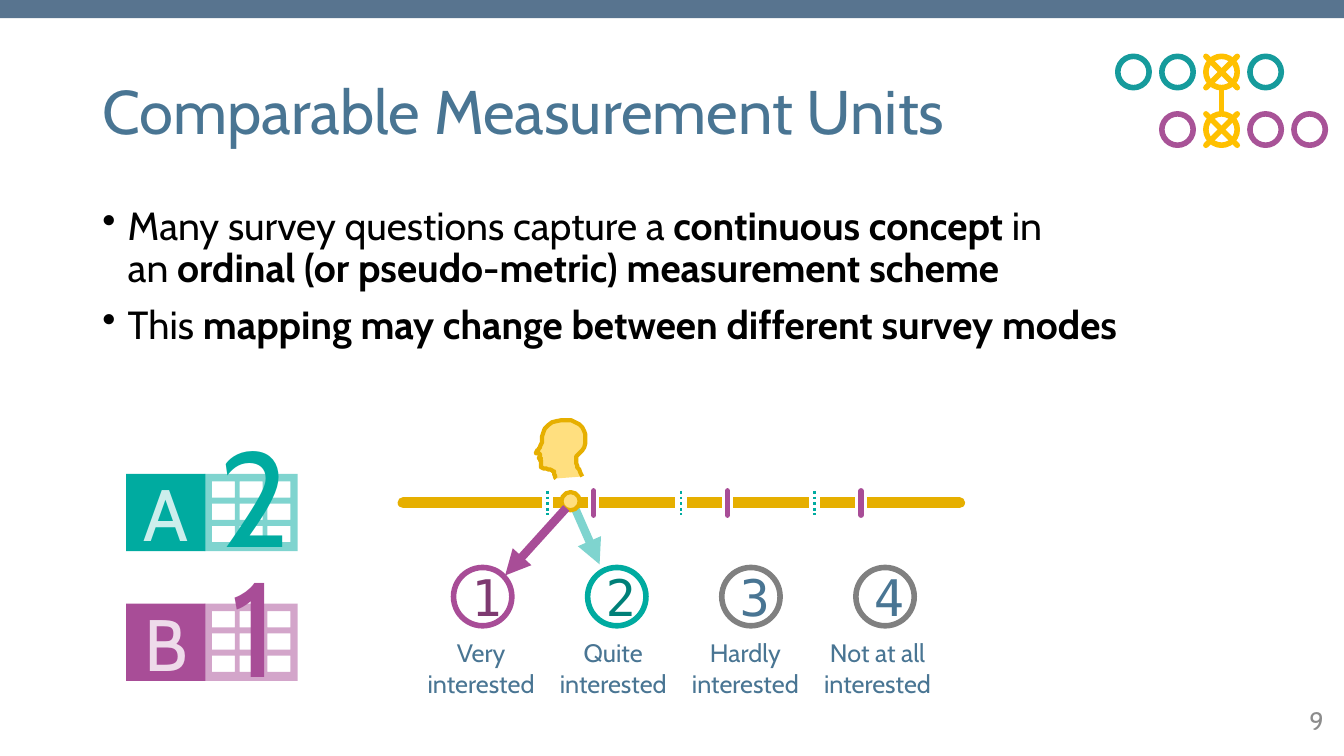
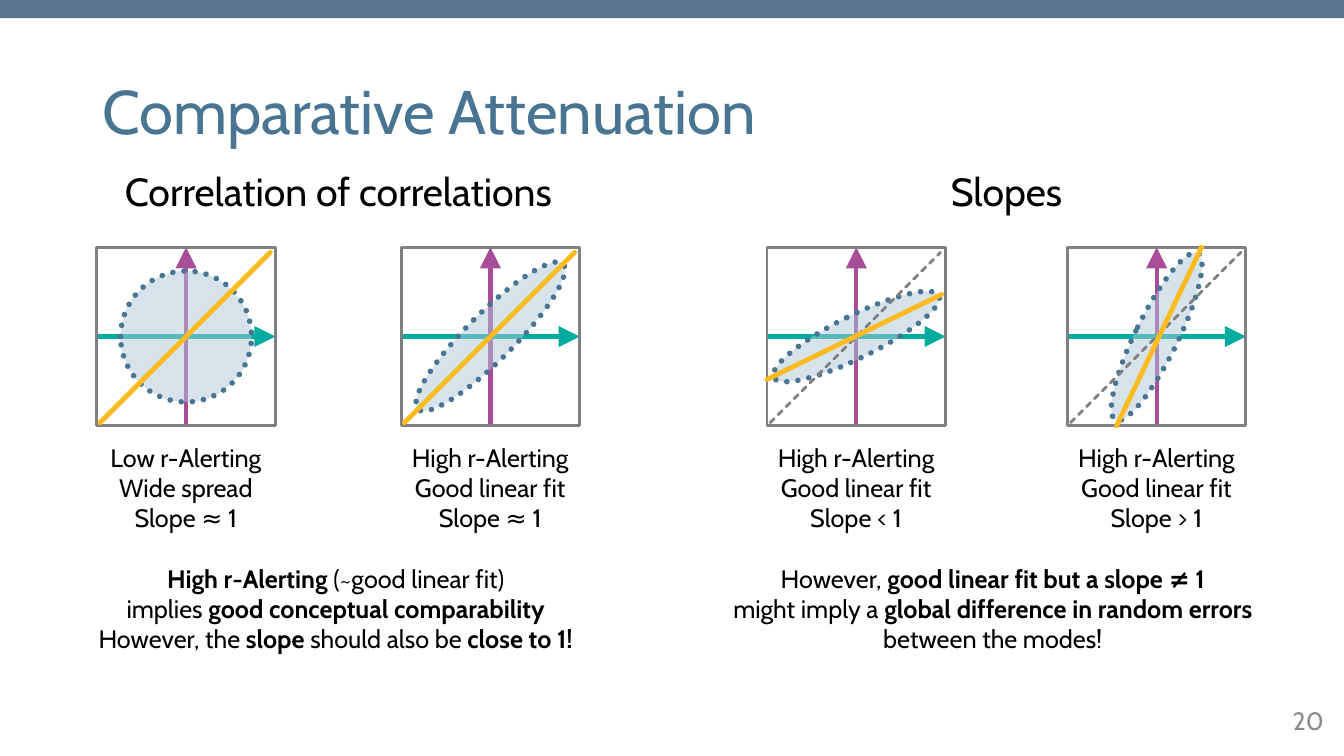
from pptx import Presentation
from pptx.dml.color import RGBColor
from pptx.enum.dml import MSO_LINE
from pptx.enum.shapes import MSO_CONNECTOR, MSO_SHAPE
from pptx.enum.text import MSO_ANCHOR, PP_ALIGN
from pptx.oxml.ns import qn
from pptx.util import Cm, Pt
from lxml import etree

DOT, DASH = MSO_LINE.ROUND_DOT, MSO_LINE.SQUARE_DOT
LINE = MSO_CONNECTOR.STRAIGHT
RECT, OVAL = MSO_SHAPE.RECTANGLE, MSO_SHAPE.OVAL
TOP, MID = MSO_ANCHOR.TOP, MSO_ANCHOR.MIDDLE
LEFT, CENTER, RIGHT = PP_ALIGN.LEFT, PP_ALIGN.CENTER, PP_ALIGN.RIGHT

BAND = RGBColor(0x58, 0x74, 0x8F)
BLUE = RGBColor(0x49, 0x75, 0x93)
PALE = RGBColor(0xB1, 0xC9, 0xD9)
TEAL = RGBColor(0x00, 0xAB, 0xA0)
DEEP = RGBColor(0x00, 0x80, 0x78)
MINT = RGBColor(0xCC, 0xEE, 0xEC)
PLUM = RGBColor(0xA8, 0x4D, 0x97)
DARK = RGBColor(0x7E, 0x3A, 0x71)
PINK = RGBColor(0xEE, 0xDB, 0xEA)
GOLD = RGBColor(0xE6, 0xAF, 0x00)
SAND = RGBColor(0xFF, 0xDF, 0x7F)
AMBER = RGBColor(0xFF, 0xC0, 0x00)
SUN = RGBColor(0xFB, 0xBB, 0x21)
SEA = RGBColor(0x16, 0x9B, 0x9C)
MAUVE = RGBColor(0xA8, 0x53, 0x97)
GRAY = RGBColor(0x80, 0x80, 0x80)
MUTED = RGBColor(0x8C, 0x8C, 0x8C)
WHITE = RGBColor(0xFF, 0xFF, 0xFF)
BLACK = RGBColor(0x00, 0x00, 0x00)

SANS, MONO = "Cabin", "DejaVu Sans Mono"
WIDE, HIGH = 33.87, 19.05
PLOT = 4.5

# Bezier curves of the head in profile, on a grid 49 units wide
START = (46, 56)
CURVES = [
    (40, 45, 40, 44, 40, 36), (50, 30, 51, 16, 46, 7),
    (40, -2, 20, -3, 12, 5), (4, 12, 7, 20, 5, 24),
    (4, 29, 0, 31, 0, 32), (0, 33, 3, 33, 4, 34),
    (4, 36, 3, 37, 3, 37), (3, 38, 4, 38, 5, 38),
    (5, 38, 4, 39, 4, 40), (4, 40, 5, 40, 5, 41),
    (5, 42, 4, 45, 5, 47), (6, 48, 14, 48, 17, 51),
    (19, 52, 17, 54, 20, 58),
]


def put(frame, text, size=18, color=BLACK, font=SANS, align=CENTER,
        anchor=TOP, wrap=True, inset=None, space=None, before=0,
        bullet=False):
    """Fill a text frame; newlines part paragraphs, \\v breaks a line, * toggles bold."""
    frame.word_wrap = wrap
    frame.vertical_anchor = anchor
    if inset is not None:
        (frame.margin_left, frame.margin_top,
         frame.margin_right, frame.margin_bottom) = map(Cm, inset)
    for row, line in enumerate(text.split("\n")):
        para = frame.add_paragraph() if row else frame.paragraphs[0]
        para.alignment = align
        if bullet:
            props = para._p.get_or_add_pPr()
            props.set("marL", str(Cm(0.64)))
            props.set("indent", str(-Cm(0.64)))
            etree.SubElement(props, qn("a:buChar")).set("char", "•")
        if space:
            para.line_spacing = space
        if row and before:
            para.space_before = Pt(before)
        for part, piece in enumerate(line.split("*")):
            for turn, words in enumerate(piece.split("\v")):
                if turn:
                    para.add_line_break()
                if words:
                    run = para.add_run()
                    run.text = words
                    run.font.name = font
                    run.font.size = Pt(size)
                    run.font.bold = part % 2 == 1
                    run.font.color.rgb = color


def label(shapes, box, text, **form):
    put(shapes.add_textbox(*map(Cm, box)).text_frame, text, **form)


def fade(node, alpha):
    for tone in node.iter(qn("a:srgbClr")):
        etree.SubElement(tone, qn("a:alpha")).set("val", str(alpha * 1000))


def stroke(shape, color, width, dash=None, cap=None, alpha=None, arrow=None):
    shape.line.color.rgb = color
    shape.line.width = Pt(width)
    if dash:
        shape.line.dash_style = dash
    ln = shape.element.spPr.find(qn("a:ln"))
    if cap:
        ln.set("cap", cap)
    if alpha:
        fade(ln, alpha)
    if arrow:
        tip = etree.SubElement(ln, qn("a:tailEnd"))
        for key, val in (("type", "triangle"), ("w", arrow), ("len", arrow)):
            tip.set(key, val)


def line(shapes, start, end, color, width, **form):
    link = shapes.add_connector(LINE, *map(Cm, (*start, *end)))
    stroke(link, color, width, **form)
    etree.SubElement(link.element.spPr, qn("a:effectLst"))


def paint(shape, fill=None, alpha=None, edge=None, width=1, **form):
    shape.shadow.inherit = False
    if fill is None:
        shape.fill.background()
    else:
        shape.fill.solid()
        shape.fill.fore_color.rgb = fill
        if alpha:
            fade(shape.element.spPr, alpha)
    if edge is None:
        shape.line.fill.background()
    else:
        stroke(shape, edge, width, **form)
    return shape


def form(shapes, kind, box, **look):
    return paint(shapes.add_shape(kind, *map(Cm, box)), **look)


def base(prs, title, number):
    slide = prs.slides.add_slide(prs.slide_layouts[5])
    head = slide.shapes.title
    head.left, head.top, head.width, head.height = map(
        Cm, (2.33, 1.6, 29.21, 2.59))
    put(head.text_frame, title, size=44, color=BLUE, align=LEFT,
        anchor=MID, space=0.9)
    label(slide.shapes, (23.93, 17.65, 9.68, 1.02), number, color=MUTED,
          align=RIGHT, anchor=MID)
    return slide


def frieze(prs, slide):
    """Put the top band on the layout that the slides share."""
    band = form(slide.shapes, RECT, (0, 0, WIDE, 0.46), fill=BAND)
    slide.slide_layout.shapes.element.insert(2, band.element)


def face(shapes, x, y, width):
    unit = Cm(width) / 49
    pen = shapes.build_freeform(*START, scale=unit)
    px, py = START
    dots = []
    for ax, ay, bx, by, ex, ey in CURVES:
        for step in range(1, 9):
            t = step / 8
            s = 1 - t
            k = (s ** 3, 3 * s * s * t, 3 * s * t * t, t ** 3)
            dots.append(tuple(
                sum(a * b for a, b in zip(k, row))
                for row in ((px, ax, bx, ex), (py, ay, by, ey))))
        px, py = ex, ey
    pen.add_line_segments(dots, close=False)
    paint(pen.convert_to_shape(Cm(x), Cm(y)), fill=SAND, edge=GOLD, width=3)


def sheet(shapes, x, y, color):
    """Draw a half clear table grid with nine holes."""
    def ring(left, top, wide, high):
        return [(left + wide, top), (left + wide, top + high),
                (left, top + high)]

    pen = shapes.build_freeform(0, 0, scale=Cm(0.01))
    pen.add_line_segments(ring(0, 0, 234, 195))
    for col in range(3):
        for row in range(3):
            left, top = 18 + 70 * col, 19 + 56 * row
            pen.move_to(left, top)
            pen.add_line_segments(ring(left, top, 58, 41))
    paint(pen.convert_to_shape(Cm(x), Cm(y)), fill=color, alpha=50)


def badge(slide, x, y, letter, digit, color, tint):
    shapes = slide.shapes.add_group_shape().shapes
    tile = form(shapes, RECT, (x, y, 2, 1.95), fill=color)
    put(tile.text_frame, letter, size=52, color=tint, anchor=MID,
        wrap=False, inset=(0, 0, 0, 0))
    sheet(shapes, x + 1.98, y, color)
    label(slide.shapes, (x + 2.05, y - 1.65, 2.36, 4.37), digit, size=96,
          color=color, wrap=False)


def chain(slide, x, y):
    """Draw two shifted rows of rings, linked where both are crossed."""
    shapes = slide.shapes.add_group_shape().shapes
    size, step, drop = 0.79, 1.11, 1.45
    mid = x + 2 * step
    line(shapes, (mid + size / 2, y), (mid + size / 2, y + drop + size),
         AMBER, 4)
    for top, cols, color in ((y, (0, 1, 3), SEA),
                             (y + drop, (1, 3, 4), MAUVE)):
        for col in (*cols, 2):
            form(shapes, OVAL, (x + col * step, top, size, size), fill=WHITE,
                 edge=AMBER if col == 2 else color, width=4)
        for rise, fall in ((0, size), (size, 0)):
            line(shapes, (mid, top + rise), (mid + size, top + fall),
                 AMBER, 4, cap="rnd")


def scale(slide, x, y):
    """Draw the axis, its two sets of cuts and the answers below it."""
    shapes = slide.shapes
    step = 3.37
    line(shapes, (x, y), (x + 14.02, y), GOLD, 8, cap="rnd")
    face(shapes, x + 3.35, y - 2.08, 1.24)

    def cuts(left, *args, **look):
        for i in range(3):
            at = left + i * step
            line(shapes, (at, y - 0.3), (at, y + 0.31), *args, **look)

    for left in (x + 3.63, x + 4.8):
        cuts(left, WHITE, 8)
    cuts(x + 3.63, TEAL, 2, dash=DOT)
    cuts(x + 4.8, PLUM, 4, cap="rnd")
    line(shapes, (x + 4.34, y + 0.16), (x + 4.95, y + 1.55), TEAL, 6,
         alpha=50, arrow="med")
    form(shapes, OVAL, (x + 3.99, y - 0.27, 0.46, 0.46), fill=SAND,
         edge=GOLD, width=3)
    line(shapes, (x + 4.11, y + 0.13), (x + 2.57, y + 1.83), PLUM, 6,
         arrow="med")
    looks = ((PLUM, DARK), (TEAL, DEEP), (GRAY, BLUE), (GRAY, BLUE))
    for i, (edge, ink) in enumerate(looks):
        ring = form(shapes, OVAL, (x + 1.27 + i * 3.38, y + 1.63, 1.47, 1.47),
                    fill=WHITE, edge=edge, width=4)
        put(ring.text_frame, str(i + 1), size=36, color=ink, font=MONO,
            anchor=MID, wrap=False, inset=(0.2, 0, 0, 0))
    answers(shapes, x + 0.3, y + 3.41)


def answers(shapes, x, y):
    words = ("Very interested", "Quite interested", "Hardly interested",
             "Not at all interested")
    table = shapes.add_table(1, 4, *map(Cm, (x, y, 13.32, 2.03))).table
    table.first_row = table.horz_banding = False
    for cell, text in zip(table.rows[0].cells, words):
        cell.fill.background()
        cell.margin_left = cell.margin_right = 0
        cell.margin_top = cell.margin_bottom = 0
        put(cell.text_frame, text, color=BLUE)


def plot(slide, x, y, cloud, text, fit=None):
    """Draw a scatter sketch; cloud is width, height and turn of the ellipse."""
    shapes = slide.shapes.add_group_shape().shapes
    mid = PLOT / 2

    def draw(start, end, *args, **look):
        line(shapes, (x + start[0], y + start[1]), (x + end[0], y + end[1]),
             *args, **look)

    draw((mid, PLOT), (mid, 0), PLUM, 3, arrow="lg")
    draw((0, mid), (PLOT, mid), TEAL, 3, arrow="lg")
    wide, high, turn = cloud
    oval = form(shapes, OVAL, (x + mid - wide / 2, y + mid - high / 2, wide,
                               high),
                fill=PALE, alpha=50, edge=BLUE, width=4, dash=DOT, cap="rnd")
    oval.rotation = turn
    slant = ((0.08, 4.42), (4.37, 0.13))
    if fit:
        draw(*slant, GRAY, 2, dash=DASH, cap="rnd")
    form(shapes, RECT, (x, y, PLOT, PLOT), edge=GRAY, width=2)
    draw(*(fit or slant), SUN, 3.5, cap="rnd")
    label(slide.shapes, (x - 0.83, y + 4.79, 6.15, 2.95), text)


def half(slide, x, first, pitch, title, plots, note):
    label(slide.shapes, (x + first, 4.09, pitch + PLOT, 1.45), title, size=28)
    for i, args in enumerate(plots):
        plot(slide, x + first + i * pitch, 6.23, *args)
    label(slide.shapes, (x, 14.07, 16.92, 2.57), note)


def units(prs):
    slide = base(prs, "Comparable Measurement Units", "9")
    frieze(prs, slide)
    label(slide.shapes, (2.33, 5.08, 29.21, 4.2),
          "Many survey questions capture a *continuous concept* in\v"
          "an *ordinal (or pseudo-metric) measurement scheme*\n"
          "This *mapping may change between different survey modes*",
          size=28, align=LEFT, space=0.9, before=10, bullet=True)
    scale(slide, 10.16, 12.67)
    badge(slide, 3.18, 11.94, "A", "2", TEAL, MINT)
    badge(slide, 3.18, 15.21, "B", "1", PLUM, PINK)
    chain(slide, 28.17, 1.42)


def slopes(prs):
    slide = base(prs, "Comparative Attenuation", "20")
    good = "High r-Alerting\nGood linear fit\nSlope "
    half(slide, 0, 2.44, 7.67, "Correlation of correlations",
         [((3.3, 3.3, 0), "Low r-Alerting\nWide spread\nSlope ≈ 1"),
          ((1.19, 5.18, 45), good + "≈ 1")],
         "*High r-Alerting* (~good linear fit)\n"
         "implies *good conceptual comparability*\n"
         "However, the *slope* should also be *close to 1!*")
    half(slide, 16.56, 2.77, 7.57, "Slopes",
         [((1.07, 4.65, 63.6), good + "< 1", ((0, 3.33), (4.4, 1.19))),
          ((1.07, 4.7, 26.2), good + "> 1", ((1.24, 4.5), (3.38, 0)))],
         "However, *good linear fit but a slope ≠ 1*\n"
         "might imply a *global difference in random errors*\n"
         "between the modes!")


def main():
    prs = Presentation()
    prs.slide_width, prs.slide_height = Cm(WIDE), Cm(HIGH)
    units(prs)
    slopes(prs)
    prs.save("out.pptx")


if __name__ == "__main__":
    main()
